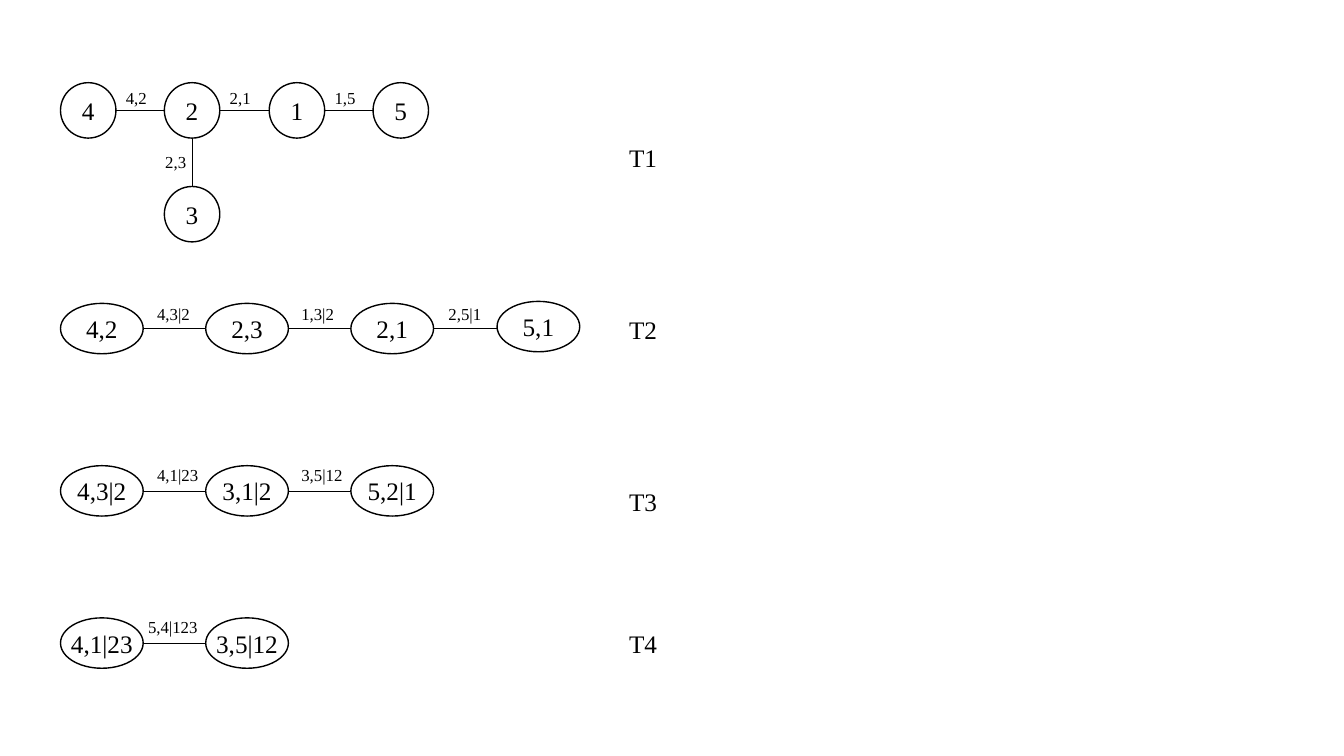
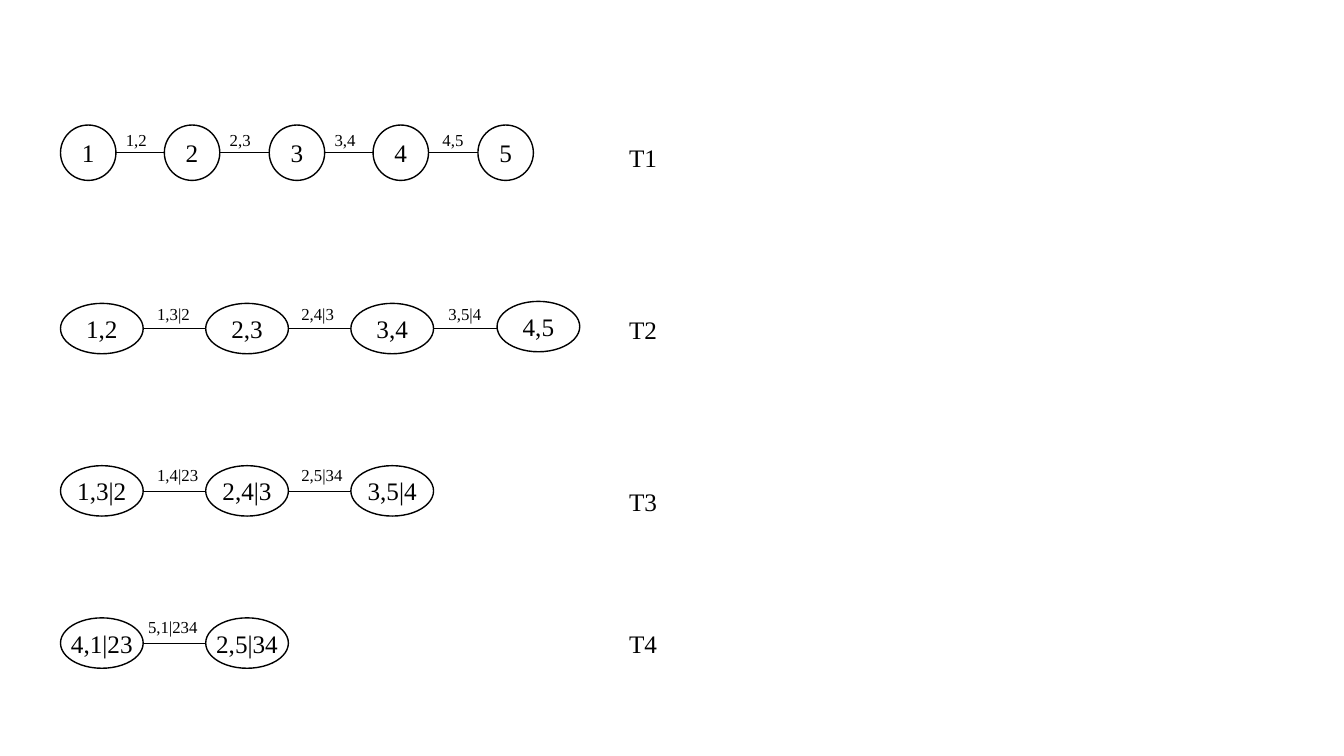
from dataclasses import dataclass

from pptx import Presentation
from pptx.dml.color import RGBColor
from pptx.enum.shapes import MSO_CONNECTOR, MSO_SHAPE
from pptx.enum.text import MSO_ANCHOR, MSO_AUTO_SIZE, PP_ALIGN
from pptx.oxml.ns import qn
from pptx.util import Pt
from lxml import etree

STRAIGHT, ELLIPSE = MSO_CONNECTOR.STRAIGHT, MSO_SHAPE.OVAL
MIDDLE, FIT_TEXT = MSO_ANCHOR.MIDDLE, MSO_AUTO_SIZE.SHAPE_TO_FIT_TEXT
LEFT, CENTER = PP_ALIGN.LEFT, PP_ALIGN.CENTER

EMU_PER_PX = 9144  # 100 px to the inch
BLACK = RGBColor(0x00, 0x00, 0x00)
WHITE = RGBColor(0xFF, 0xFF, 0xFF)
FONT = "Times New Roman"
NODE_SIZE, EDGE_LABEL_SIZE = 18, 12
OUTLINE_WIDTH, EDGE_WIDTH = 1, 0.5

SLIDE_WIDTH, SLIDE_HEIGHT = 1333, 750
CHAIN_LEFT = 60
EDGE_LABEL_HEIGHT = 30
TREE_NAME_LEFT, TREE_NAME_WIDTH, TREE_NAME_HEIGHT = 614, 48, 40
BRANCH_DROP = 103
BRANCH_LABEL_OFFSET = (-9, 64)


@dataclass
class NodeStyle:
    width: int
    height: int
    span: int   # distance covered by span_steps nodes
    span_steps: int

    def left(self, column):
        return CHAIN_LEFT + column * self.span // self.span_steps


CIRCLE = NodeStyle(55, 55, 207, 2)
OVAL = NodeStyle(82, 50, 433, 3)


@dataclass
class TreeLayout:
    name: str
    name_top: int
    node: NodeStyle
    top: int
    label_width: int
    label_rise: int
    label_shifts: tuple     # from the right side of the node before the edge
    last_rise: int = 0      # how far the fourth node sits above the others


LAYOUTS = [
    TreeLayout("T1", 136, CIRCLE, 124, 41, 0, (0, 0, 0, 4)),
    TreeLayout("T2", 307, OVAL, 301, 54, 5, (4, 3, 5), 2),
    TreeLayout("T3", 478, OVAL, 462, 61, 6, (4, 3)),
    TreeLayout("T4", 618, OVAL, 613, 70, 6, (-5,)),
]

# Each tree: node texts, edge texts
VINES = [
    {
        "first_top": 82,
        "trees": [
            (["4", "2", "1", "5"], ["4,2", "2,1", "1,5"]),
            (["4,2", "2,3", "2,1", "5,1"], ["4,3|2", "1,3|2", "2,5|1"]),
            (["4,3|2", "3,1|2", "5,2|1"], ["4,1|23", "3,5|12"]),
            (["4,1|23", "3,5|12"], ["5,4|123"]),
        ],
        "branch": {"column": 1, "node": "3", "edge": "2,3"},
    },
    {
        "first_top": 124,
        "trees": [
            (["1", "2", "3", "4", "5"], ["1,2", "2,3", "3,4", "4,5"]),
            (["1,2", "2,3", "3,4", "4,5"], ["1,3|2", "2,4|3", "3,5|4"]),
            (["1,3|2", "2,4|3", "3,5|4"], ["1,4|23", "2,5|34"]),
            (["4,1|23", "2,5|34"], ["5,1|234"]),
        ],
        "branch": None,
    },
]


def px(*lengths):
    return [round(length * EMU_PER_PX) for length in lengths]


def write(shape, text, size, alignment, **frame_format):
    frame = shape.text_frame
    for name, value in {"word_wrap": False, **frame_format}.items():
        setattr(frame, name, value)
    paragraph = frame.paragraphs[0]
    paragraph.alignment = alignment
    run = paragraph.add_run()
    run.text = text
    for name, value in {"name": FONT, "size": Pt(size)}.items():
        setattr(run.font, name, value)
    run.font.color.rgb = BLACK


def add_node(slide, text, style, left, top):
    shape = slide.shapes.add_shape(
        ELLIPSE, *px(left, top, style.width, style.height))
    shape.shadow.inherit = False
    shape.fill.solid()
    shape.fill.fore_color.rgb = WHITE
    shape.line.color.rgb = BLACK
    shape.line.width = Pt(OUTLINE_WIDTH)
    write(shape, text, NODE_SIZE, CENTER, vertical_anchor=MIDDLE)


def add_edge(slide, *ends):
    connector = slide.shapes.add_connector(STRAIGHT, *px(*ends))
    connector.line.color.rgb = BLACK
    connector.line.width = Pt(EDGE_WIDTH)
    etree.SubElement(connector._element.spPr, qn("a:effectLst"))


def add_label(slide, text, size, *box):
    write(slide.shapes.add_textbox(*px(*box)), text, size, LEFT,
          auto_size=FIT_TEXT)


def add_tree(slide, layout, top, nodes, edges):
    style = layout.node
    for column, text in enumerate(nodes):
        rise = layout.last_rise if column == 3 else 0
        add_node(slide, text, style, style.left(column), top - rise)
    middle = top + style.height / 2
    for column, (text, shift) in enumerate(zip(edges, layout.label_shifts)):
        start = style.left(column) + style.width
        add_edge(slide, start, middle, style.left(column + 1), middle)
        add_label(slide, text, EDGE_LABEL_SIZE, start + shift,
                  top - layout.label_rise, layout.label_width,
                  EDGE_LABEL_HEIGHT)
    add_label(slide, layout.name, NODE_SIZE, TREE_NAME_LEFT, layout.name_top,
              TREE_NAME_WIDTH, TREE_NAME_HEIGHT)


def add_branch(slide, layout, top, column, node, edge):
    """Hang one more node below a node of the chain."""
    style = layout.node
    left = style.left(column)
    center = left + style.width / 2
    add_node(slide, node, style, left, top + BRANCH_DROP)
    add_edge(slide, center, top + style.height, center, top + BRANCH_DROP)
    shift, drop = BRANCH_LABEL_OFFSET
    add_label(slide, edge, EDGE_LABEL_SIZE, left + shift, top + drop,
              layout.label_width, EDGE_LABEL_HEIGHT)


def main():
    presentation = Presentation()
    presentation.slide_width, presentation.slide_height = px(
        SLIDE_WIDTH, SLIDE_HEIGHT)
    blank = presentation.slide_layouts[6]
    for vine in VINES:
        slide = presentation.slides.add_slide(blank)
        tops = [vine["first_top"]] + [layout.top for layout in LAYOUTS[1:]]
        for layout, top, (nodes, edges) in zip(LAYOUTS, tops, vine["trees"]):
            add_tree(slide, layout, top, nodes, edges)
        if vine["branch"]:
            add_branch(slide, LAYOUTS[0], tops[0], **vine["branch"])
    presentation.save("out.pptx")


if __name__ == "__main__":
    main()
